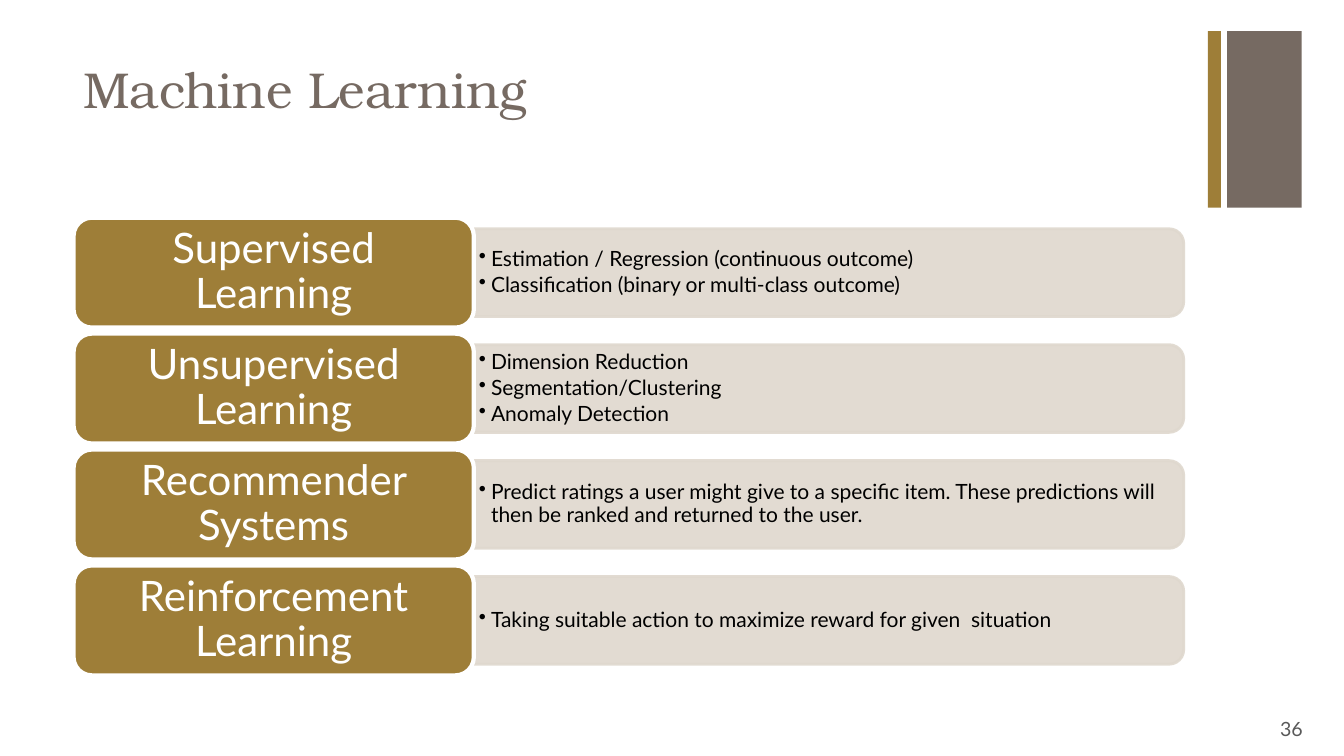
from lxml import etree
from pptx import Presentation
from pptx import util as u
from pptx.dml.color import RGBColor
from pptx.enum import shapes, text
from pptx.oxml import ns

TAUPE = RGBColor(0x76, 0x6A, 0x62)
GOLD = RGBColor(0x9E, 0x7E, 0x38)
SAND = RGBColor(0xDF, 0xD8, 0xCE)
GREY = RGBColor(0x59, 0x59, 0x59)
WHITE = RGBColor(0xFF, 0xFF, 0xFF)
BLACK = RGBColor(0, 0, 0)

KIND = shapes.MSO_SHAPE
MID = text.MSO_ANCHOR.MIDDLE
ALIGN = text.PP_ALIGN

ROWS = [
    ("Supervised Learning", ["Estimation / Regression (continuous outcome)",
                             "Classification (binary or multi-class outcome)"]),
    ("Unsupervised Learning", ["Dimension Reduction",
                               "Segmentation/Clustering",
                               "Anomaly Detection"]),
    ("Recommender Systems", ["Predict ratings a user might give to a specific item. "
                             "These predictions will then be ranked and returned to the user."]),
    ("Reinforcement Learning", ["Taking suitable action to maximize reward for given  situation"]),
]


def apply(target, values):
    for name, value in values.items():
        setattr(target, name, value)


class Deck:
    head = {"name": "TeX Gyre Bonum", "size": u.Pt(36)}
    label = {"name": "Lato", "size": u.Pt(30)}
    body = {"name": "Lato", "size": u.Pt(15)}
    small = {"name": "Lato", "size": u.Pt(14)}

    def __init__(self):
        self.prs = Presentation()
        apply(self.prs, {"slide_width": u.Inches(13.33), "slide_height": u.Inches(7.5)})
        self.slide = self.prs.slides.add_slide(self.prs.slide_layouts[6])

    def shape(self, kind, box, fill, line=None, width=0, turn=0, alpha=None):
        item = self.slide.shapes.add_shape(kind, *map(u.Inches, box))
        item.shadow.inherit = False
        item.rotation = turn
        item.fill.solid()
        item.fill.fore_color.rgb = fill
        if line is None:
            item.line.fill.background()
        else:
            item.line.color.rgb = line
            item.line.width = u.Pt(width)
        if alpha:
            for tint in item._element.spPr.iter(ns.qn("a:srgbClr")):
                etree.SubElement(tint, ns.qn("a:alpha"), val=str(alpha * 1000))
        return item

    def box(self, box):
        return self.slide.shapes.add_textbox(*map(u.Inches, box))

    def put(self, item, lines, font, color, frame=None, para=None, bullet=False):
        body = item.text_frame
        apply(body, {"word_wrap": True, **(frame or {})})
        for i, line in enumerate(lines):
            p = body.paragraphs[0] if i == 0 else body.add_paragraph()
            apply(p, para or {})
            if bullet:
                props = p._p.get_or_add_pPr()
                indent = u.Inches(0.12)
                props.set("marL", str(indent))
                props.set("indent", str(-indent))
                etree.SubElement(props, ns.qn("a:buChar"), char="•")
            run = p.add_run()
            run.text = line
            apply(run.font, font)
            run.font.color.rgb = color


def pad(side, edge):
    return {"vertical_anchor": MID,
            "margin_left": u.Inches(side), "margin_right": u.Inches(side),
            "margin_top": u.Inches(edge), "margin_bottom": u.Inches(edge)}


def main():
    deck = Deck()

    # Corner bars
    deck.shape(KIND.RECTANGLE, (12.17, 0.31, 0.74, 1.75), TAUPE)
    deck.shape(KIND.RECTANGLE, (11.98, 0.31, 0.13, 1.75), GOLD)

    # Title and page number
    deck.put(deck.box((0.73, 0.53, 11.02, 1.22)), ["Machine Learning"], deck.head, TAUPE)
    deck.put(deck.box((12.21, 7.03, 0.81, 0.4)), ["36"], deck.small, GREY,
             {"vertical_anchor": MID}, {"alignment": ALIGN.RIGHT})

    # One row per kind of learning: panel, bullets, label
    pitch = 1.15
    for i, (name, points) in enumerate(ROWS):
        top = 2.16 + i * pitch
        deck.shape(KIND.ROUND_2_SAME_RECTANGLE, (7.78, top - 2.98, 0.87, 7.05),
                   SAND, SAND, 2, turn=90, alpha=90)
        deck.put(deck.box((4.69, top + 0.15, 7.01, 0.79)), points, deck.body, BLACK,
                 pad(0.06, 0.03), {"line_spacing": 0.9, "space_after": u.Pt(2.25)},
                 bullet=True)
        label = deck.shape(KIND.ROUNDED_RECTANGLE, (0.73, top, 3.97, 1.09), GOLD, WHITE, 3)
        deck.put(label, [name], deck.label, WHITE, pad(0.12, 0.06),
                 {"alignment": ALIGN.CENTER, "line_spacing": 0.9})

    deck.prs.save("out.pptx")


if __name__ == "__main__":
    main()
